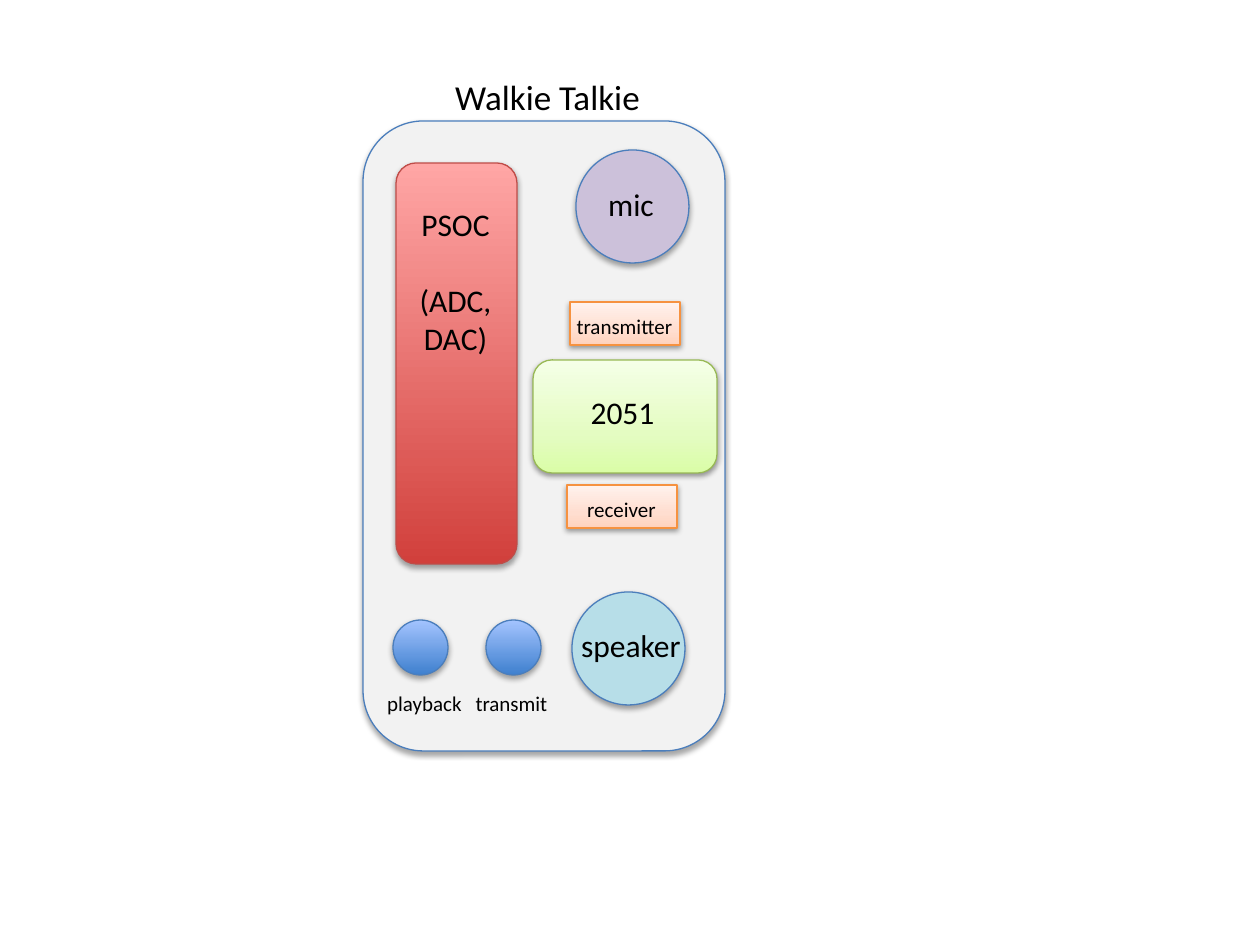
from dataclasses import dataclass

from lxml.etree import SubElement
from pptx import Presentation
from pptx.dml.color import RGBColor
from pptx.enum.shapes import MSO_SHAPE as Shape
from pptx.enum.text import MSO_AUTO_SIZE as AutoSize, PP_ALIGN as Align
from pptx.oxml.ns import qn
from pptx.util import Emu, Pt

PX = 914400 / 126


@dataclass(frozen=True)
class Theme:
    font: str = "Calibri"
    text: str = "000000"
    title: int = 20
    label: int = 18
    small: int = 12
    line: float = 0.75
    blue: str = "4B7EBC"
    body: str = "F2F2F2"
    mic: str = "CCC1DA"
    speaker: str = "B7DEE8"
    # Gradients run from the bottom edge to the top: (percent, colour).
    button: tuple = ((0, "3F80CE"), (100, "A4C4FF"))
    psoc: tuple = ((0, "D1403C"), (100, "FFA6A5"))
    psoc_line: str = "BF4C48"
    controller: tuple = ((0, "DAFDA7"), (35, "E4FCC2"), (100, "F5FFE7"))
    controller_line: str = "98B955"
    radio: tuple = ((0, "FFD2BD"), (35, "FFDED0"), (100, "FFF2ED"))
    radio_line: str = "F69240"


T = Theme()


def px(*lengths):
    return [Emu(round(n * PX)) for n in lengths]


def inside(box, x, y, w, h):
    """Turn a box relative to another box into slide px."""
    return box[0] + x, box[1] + y, w, h


def set_gradient(sp, stops):
    sp.fill.gradient()
    sp.fill.gradient_angle = 90
    gs_list = sp._element.spPr.find(qn("a:gradFill")).find(qn("a:gsLst"))
    for gs in list(gs_list):
        gs_list.remove(gs)
    for percent, color in stops:
        gs = SubElement(gs_list, qn("a:gs"), pos=str(percent * 1000))
        SubElement(gs, qn("a:srgbClr"), val=color)


def set_shadow(sp, dist, alpha):
    sp.shadow.inherit = False
    effects = sp._element.spPr.find(qn("a:effectLst"))
    shadow = SubElement(effects, qn("a:outerShdw"), blurRad="40000",
                        dist=str(dist), dir="5400000", rotWithShape="0")
    color = SubElement(shadow, qn("a:srgbClr"), val="000000")
    SubElement(color, qn("a:alpha"), val=str(alpha * 1000))


def add_part(slide, kind, box, fill, line=T.blue, dist=23000, alpha=35):
    sp = slide.shapes.add_shape(kind, *px(*box))
    if isinstance(fill, str):
        sp.fill.solid()
        sp.fill.fore_color.rgb = RGBColor.from_string(fill)
    else:
        set_gradient(sp, fill)
    sp.line.color.rgb = RGBColor.from_string(line)
    sp.line.width = Pt(T.line)
    set_shadow(sp, dist, alpha)


def add_text(slide, box, *lines, size=T.label, color=T.text, gap=0):
    tf = slide.shapes.add_textbox(*px(*box)).text_frame
    tf.word_wrap = True
    tf.auto_size = AutoSize.SHAPE_TO_FIT_TEXT
    for i, line in enumerate(lines):
        p = tf.add_paragraph() if i else tf.paragraphs[0]
        p.alignment = Align.CENTER
        p.space_before = Pt(gap if i else 0)
        r = p.add_run()
        r.text = line
        r.font.name = T.font
        r.font.size = Pt(size)
        r.font.color.rgb = RGBColor.from_string(color)


def add_psoc(slide, box):
    add_part(slide, Shape.ROUNDED_RECTANGLE, box, T.psoc, T.psoc_line)
    add_text(slide, inside(box, 3, 36, 113, 165), "PSOC", "(ADC, DAC)", gap=22)


def add_controller(slide, box):
    add_part(slide, Shape.ROUNDED_RECTANGLE, box, T.controller,
             T.controller_line, dist=20000, alpha=38)
    add_text(slide, inside(box, 14, 27, 151, 50), "2051")


def add_radio(slide, box, name):
    add_part(slide, Shape.RECTANGLE, box, T.radio, T.radio_line,
             dist=20000, alpha=38)
    add_text(slide, inside(box, -21, 5, 151, 38), name, size=T.small)


def add_sound(slide, box, name, fill, label):
    """Round microphone or speaker, with its label box relative to it."""
    add_part(slide, Shape.OVAL, box, fill)
    add_text(slide, inside(box, *label), name)


def add_button(slide, box, name, label_x):
    add_part(slide, Shape.OVAL, box, T.button)
    add_text(slide, inside(box, label_x, 64, 151, 38), name, size=T.small)


def add_walkie_talkie(slide, box):
    add_text(slide, inside(box, 30, -52, 309, 55), "Walkie Talkie",
             size=T.title)
    add_part(slide, Shape.ROUNDED_RECTANGLE, box, T.body)
    add_psoc(slide, inside(box, 33, 42, 121, 401))
    add_controller(slide, inside(box, 170, 239, 184, 113))
    add_sound(slide, inside(box, 213, 29, 113, 113), "mic", T.mic,
              (7, 29, 96, 50))
    add_sound(slide, inside(box, 209, 471, 113, 113), "speaker", T.speaker,
              (-4, 28, 126, 50))
    for name, x, y in (("transmitter", 207, 181), ("receiver", 204, 364)):
        add_radio(slide, inside(box, x, y, 110, 43), name)
    for name, x, label_x in (("playback", 30, -44), ("transmit", 123, -50)):
        add_button(slide, inside(box, x, 499, 55, 55), name, label_x)


def main():
    prs = Presentation()
    prs.slide_width, prs.slide_height = px(1260, 945)
    slide = prs.slides.add_slide(prs.slide_layouts[6])
    add_walkie_talkie(slide, (363, 121, 362, 630))
    prs.save("out.pptx")


if __name__ == "__main__":
    main()
